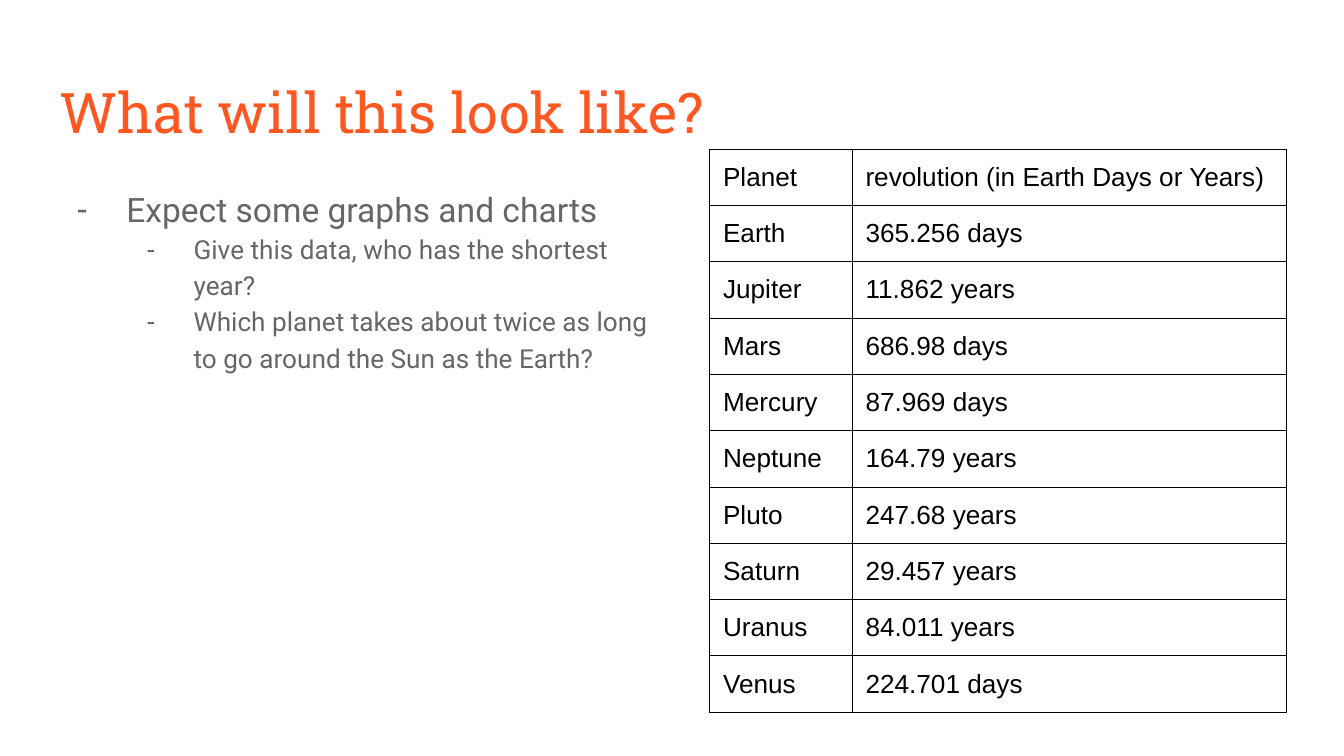
from lxml import etree
from pptx import Presentation
from pptx.dml.color import RGBColor
from pptx.enum import text
from pptx.oxml.ns import qn
from pptx.util import Inches, Pt

# Content
TITLE = "What will this look like?"
POINTS = [  # level, text
    (0, "Expect some graphs and charts"),
    (1, "Give this data, who has the shortest year?"),
    (1, "Which planet takes about twice as long to go around the Sun as the Earth?"),
]
ROWS = [
    ("Planet", "revolution (in Earth Days or Years)"),
    ("Earth", "365.256 days"),
    ("Jupiter", "11.862 years"),
    ("Mars", "686.98 days"),
    ("Mercury", "87.969 days"),
    ("Neptune", "164.79 years"),
    ("Pluto", "247.68 years"),
    ("Saturn", "29.457 years"),
    ("Uranus", "84.011 years"),
    ("Venus", "224.701 days"),
]
WIDTHS = (1.06, 3.23)
ROW_H = 0.22  # rows grow to fit their text
LEVELS = [(18, 0.5, 0.37), (14, 1, 0.35)]  # size, indent, hanging
ORANGE, GREY, BLACK = "FF5722", "666666", "000000"


def style(par, face, size, color):
    par.font.name = face
    par.font.size = Pt(size)
    par.font.color.rgb = RGBColor.from_string(color)


def pad(item):
    for side in ("left", "right", "top", "bottom"):
        setattr(item, f"margin_{side}", Inches(0.1))


def place(holder, left, top, width, height):
    holder.left, holder.top = Inches(left), Inches(top)
    holder.width, holder.height = Inches(width), Inches(height)
    frame = holder.text_frame
    frame.word_wrap = True
    frame.auto_size = text.MSO_AUTO_SIZE.NONE
    frame.vertical_anchor = text.MSO_ANCHOR.TOP
    pad(frame)
    return frame


def dash(par, indent, hang, color):
    props = par._p.get_or_add_pPr()
    props.set("marL", str(Inches(indent)))
    props.set("indent", str(-Inches(hang)))
    tint = etree.SubElement(props, qn("a:buClr"))
    etree.SubElement(tint, qn("a:srgbClr"), val=color)
    etree.SubElement(props, qn("a:buFont"), typeface="Arial")
    etree.SubElement(props, qn("a:buChar"), char="-")


def border(cell, color, width):
    props = cell._tc.get_or_add_tcPr()
    for i, side in enumerate(("lnL", "lnR", "lnT", "lnB")):
        line = etree.Element(qn(f"a:{side}"), w=str(Pt(width)))
        fill = etree.SubElement(line, qn("a:solidFill"))
        etree.SubElement(fill, qn("a:srgbClr"), val=color)
        props.insert(i, line)


# Widescreen slide, 16 to 9
prs = Presentation()
prs.slide_width = Inches(10)
prs.slide_height = prs.slide_width * 9 // 16
slide = prs.slides.add_slide(prs.slide_layouts[1])
title, body = slide.placeholders

# Title
frame = place(title, 0.34, 0.48, 9.32, 0.63)
frame.text = TITLE
head = frame.paragraphs[0]
head.alignment = text.PP_ALIGN.LEFT
style(head, "Roboto Slab", 30, ORANGE)

# Bullet list
frame = place(body, 0.34, 1.26, 4.72, 3.74)
frame.text = "\n".join(words for _, words in POINTS)
for par, (level, _) in zip(frame.paragraphs, POINTS):
    size, indent, hang = LEVELS[level]
    par.level = level
    par.line_spacing = 1.15
    par.space_before = par.space_after = Pt(0)
    dash(par, indent, hang, GREY)
    style(par, "Roboto", size, GREY)

# Table of planets
table = slide.shapes.add_table(
    len(ROWS), len(WIDTHS), Inches(5.28), Inches(1.11),
    Inches(sum(WIDTHS)), Inches(ROW_H * len(ROWS))).table
table.first_row = table.horz_banding = False
for col, width in zip(table.columns, WIDTHS):
    col.width = Inches(width)
for row, words in zip(table.rows, ROWS):
    row.height = Inches(ROW_H)
    for cell, word in zip(row.cells, words):
        cell.text = word
        pad(cell)
        cell.fill.background()
        border(cell, BLACK, 0.5)
        style(cell.text_frame.paragraphs[0], "Arial", 14, BLACK)

prs.save("out.pptx")
